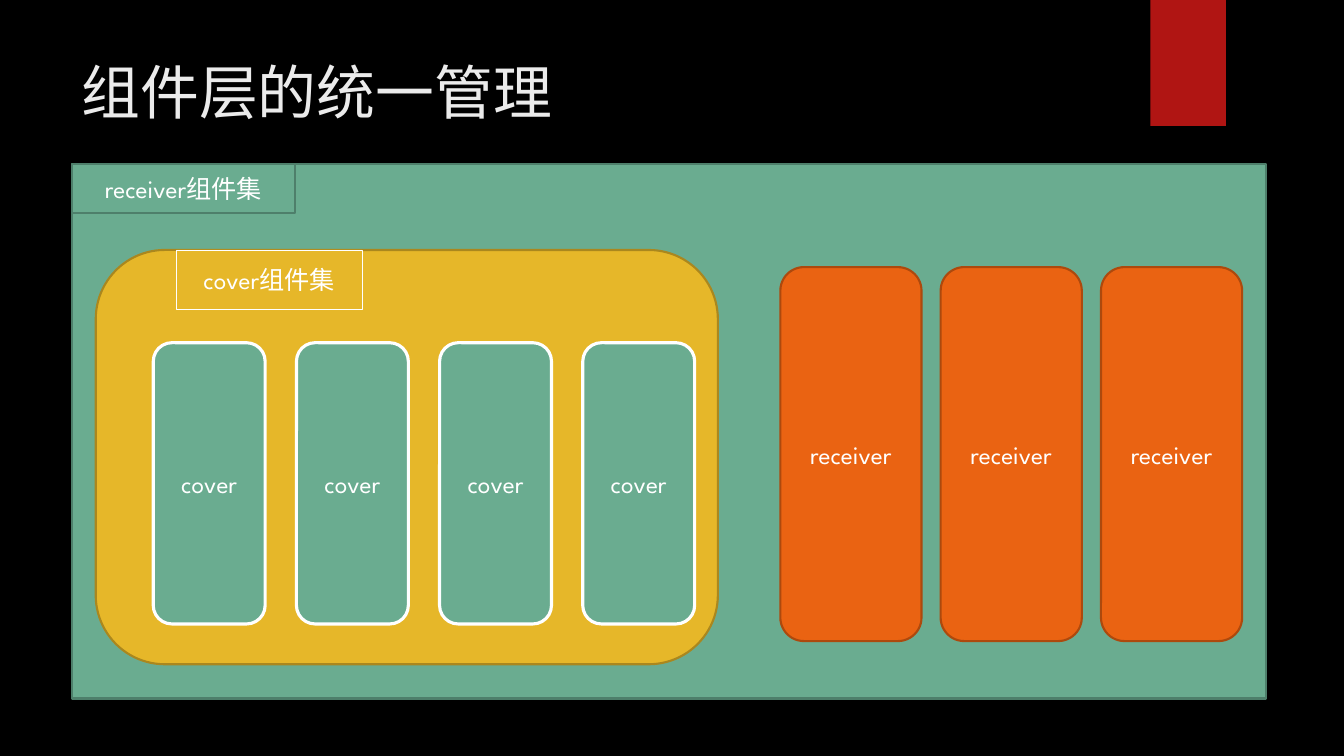
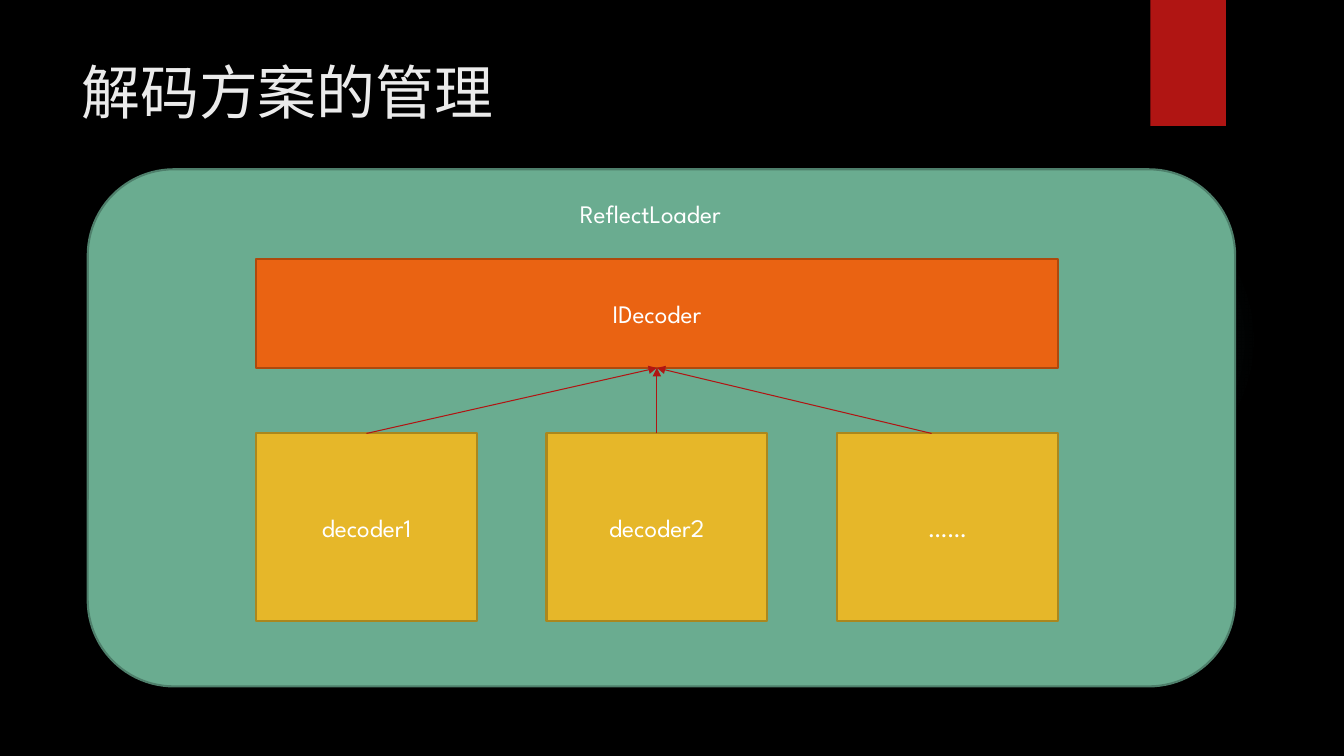
from dataclasses import dataclass

from lxml import etree
from pptx import Presentation
from pptx import util as u
from pptx.dml.color import RGBColor
from pptx.enum import shapes, text
from pptx.oxml import parse_xml
from pptx.oxml.ns import nsdecls, qn

# Content
LAYERS_TITLE = "组件层的统一管理"
RECEIVER_SET = "receiver组件集"
COVER_SET = "cover组件集"
RECEIVERS = ["receiver"] * 3
COVERS = ["cover"] * 4

DECODING_TITLE = "解码方案的管理"
LOADER = "ReflectLoader"
INTERFACE = "IDecoder"
# Decoder label, and where its arrow starts if not at the middle of its top
DECODERS = [("decoder1", None), ("decoder2", None), ("……", 9.24)]


# Theme
@dataclass(frozen=True)
class Theme:
    font: str = "League Spartan"
    title_size: int = 42
    label_size: int = 18
    border: float = 1.5
    background: str = "000000"
    title: str = "EBEBEB"
    white: str = "FFFFFF"
    red: str = "B01513"
    glow: str = "50B9C1"
    green: tuple = ("6AAC90", "4E7F6B")    # fill, line
    yellow: tuple = ("E6B729", "AA871E")
    orange: tuple = ("EA6312", "AD490D")


T = Theme()
RECT = shapes.MSO_SHAPE.RECTANGLE
ROUND = shapes.MSO_SHAPE.ROUNDED_RECTANGLE
OVAL = shapes.MSO_SHAPE.OVAL


def rgb(value):
    return RGBColor.from_string(value)


def write(frame, words, size, color, align):
    frame.word_wrap = True
    paragraph = frame.paragraphs[0]
    paragraph.alignment = align
    run = paragraph.add_run()
    run.text = words
    run.font.size = u.Pt(size)
    run.font.name = T.font
    run.font.color.rgb = rgb(color)


def add_block(slide, kind, at, colors, label=None, width=T.border):
    fill, line = colors
    block = slide.shapes.add_shape(kind, *map(u.Inches, at))
    block.shadow.inherit = False
    block.fill.solid()
    block.fill.fore_color.rgb = rgb(fill)
    if line:
        block.line.color.rgb = rgb(line)
        block.line.width = u.Pt(width)
    else:
        block.line.fill.background()
    if label:
        block.text_frame.vertical_anchor = text.MSO_ANCHOR.MIDDLE
        write(block.text_frame, label, T.label_size, T.white, text.PP_ALIGN.CENTER)
    return block


def add_row(slide, kind, left, top, width, height, pitch, colors, labels, line=T.border):
    return [add_block(slide, kind, (left + i * pitch, top, width, height), colors, label, line)
            for i, label in enumerate(labels)]


def add_glow(slide):
    glow = add_block(slide, OVAL, (9.41, 1.83, 3.08, 3.08), (T.glow, None))
    stops = "".join(
        f'<a:gs pos="{pos * 1000}"><a:srgbClr val="{T.glow}">'
        f'<a:alpha val="{alpha * 1000}"/></a:srgbClr></a:gs>'
        for pos, alpha in [(0, 7), (36, 6), (69, 0)])
    gradient = parse_xml(
        f'<a:gradFill {nsdecls("a")}><a:gsLst>{stops}</a:gsLst><a:path path="circle">'
        '<a:fillToRect l="50000" t="50000" r="50000" b="50000"/></a:path></a:gradFill>')
    properties = glow.element.spPr
    properties.replace(properties.find(qn("a:solidFill")), gradient)


def add_arrow(slide, source, target, start_x=None):
    top_middle = source.left + source.width // 2
    start = top_middle if start_x is None else u.Inches(start_x)
    arrow = slide.shapes.add_connector(
        shapes.MSO_CONNECTOR.STRAIGHT, start, source.top,
        target.left + target.width // 2, target.top + target.height)
    if start_x is None:
        arrow.begin_connect(source, 0)
    arrow.end_connect(target, 2)
    arrow.line.color.rgb = rgb(T.red)
    arrow.line.width = u.Pt(0.75)
    etree.SubElement(arrow.line._get_or_add_ln(), qn("a:tailEnd"), type="triangle")
    etree.SubElement(arrow.element.spPr, qn("a:effectLst"))


def add_slide(prs, title, glow=False):
    slide = prs.slides.add_slide(prs.slide_layouts[6])
    slide.background.fill.solid()
    slide.background.fill.fore_color.rgb = rgb(T.background)
    if glow:
        add_glow(slide)
    add_block(slide, RECT, (11.41, 0, 0.75, 1.25), (T.red, None))
    heading = slide.shapes.add_textbox(*map(u.Inches, (0.71, 0.5, 10.29, 0.9)))
    write(heading.text_frame, title, T.title_size, T.title, text.PP_ALIGN.LEFT)
    return slide


def build_layers(prs):
    slide = add_slide(prs, LAYERS_TITLE)
    # Nested component sets
    add_block(slide, RECT, (0.71, 1.63, 11.85, 5.3), T.green)
    add_block(slide, ROUND, (0.95, 2.48, 6.17, 4.11), T.yellow)
    add_row(slide, ROUND, 7.74, 2.65, 1.4, 3.71, 1.59, T.orange, RECEIVERS)
    # Set names and covers
    add_block(slide, RECT, (0.71, 1.63, 2.22, 0.48), T.green, RECEIVER_SET)
    add_block(slide, RECT, (1.75, 2.48, 1.84, 0.59), (T.yellow[0], T.white), COVER_SET, 0.25)
    add_row(slide, ROUND, 1.52, 3.4, 1.11, 2.79, 1.42, (T.green[0], T.white), COVERS, 2.25)


def build_decoding(prs):
    slide = add_slide(prs, DECODING_TITLE, glow=True)
    # Loader panel, interface and its implementations
    add_block(slide, ROUND, (0.87, 1.68, 11.38, 5.13), T.green)
    interface = add_block(slide, RECT, (2.54, 2.57, 7.95, 1.08), T.orange, INTERFACE)
    decoders = add_row(slide, RECT, 2.54, 4.3, 2.19, 1.86, 2.88, T.yellow,
                       [label for label, _ in DECODERS])
    for decoder, (_, start_x) in zip(decoders, DECODERS):
        add_arrow(slide, decoder, interface, start_x)
    add_block(slide, RECT, (4.84, 1.86, 3.22, 0.51), (T.green[0], None), LOADER)


def main():
    prs = Presentation()
    prs.slide_width, prs.slide_height = u.Inches(13.33), u.Inches(7.5)
    build_layers(prs)
    build_decoding(prs)
    prs.save("out.pptx")


if __name__ == "__main__":
    main()
